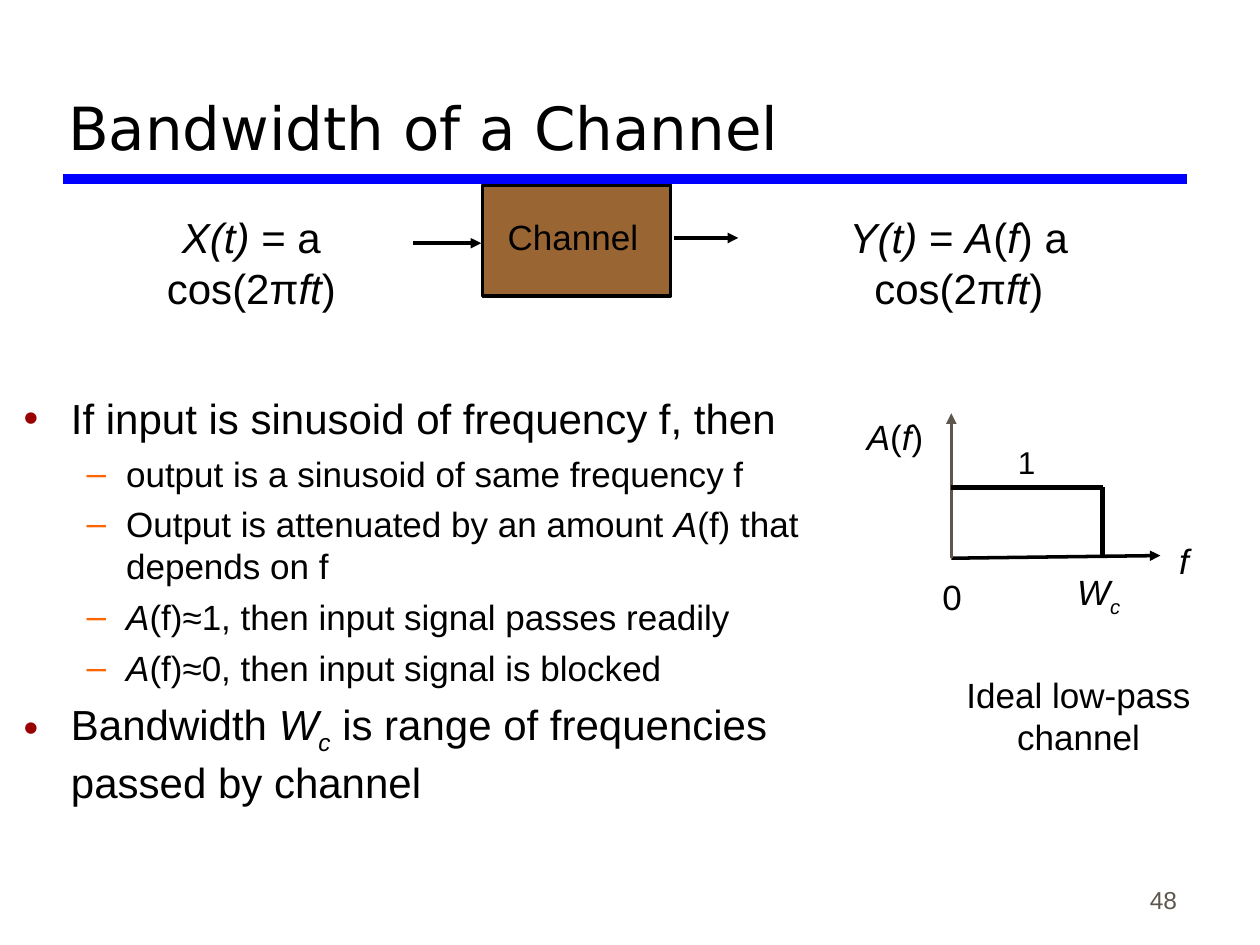
from lxml import etree
from pptx import Presentation
from pptx.dml.color import RGBColor
from pptx.enum import shapes, text
from pptx.oxml.ns import qn
from pptx.util import Pt

BLACK = RGBColor(0, 0, 0)
BLUE = RGBColor(0x00, 0x00, 0xFF)
BROWN = RGBColor(0x99, 0x66, 0x33)
GREY = RGBColor(0x5E, 0x57, 0x4E)
WHITE = RGBColor(255, 255, 255)
LEFT, CENTER, RIGHT = text.PP_ALIGN.LEFT, text.PP_ALIGN.CENTER, text.PP_ALIGN.RIGHT

# Runs are (text, style): "" plain, "i" italic, "s" italic subscript.
TITLE = "Bandwidth of a Channel"
BULLETS = [
    (0, [("If input is sinusoid of frequency f, then", "")]),
    (1, [("output is a sinusoid of same frequency f", "")]),
    (1, [("Output is attenuated by an amount ", ""), ("A", "i"),
         ("(f) that depends on f", "")]),
    (1, [("A", "i"), ("(f)≈1, then input signal passes readily", "")]),
    (1, [("A", "i"), ("(f)≈0, then input signal is blocked", "")]),
    (0, [("Bandwidth ", ""), ("W", "i"), ("c", "s"),
         (" is range of frequencies passed by channel", "")]),
]
# Per level: size, left margin, hanging indent, space before, bullet, colour
LEVELS = [(24, 27, 27, 6, "•", "990000"), (20, 58.5, 22.5, 5, "–", "FF6600")]

COSINE = [("cos(2π", ""), ("ft", "i"), (")", "")]
INPUT = [("X(t)", "i"), (" = a ", "")] + COSINE
OUTPUT = [("Y(t)", "i"), (" = ", ""), ("A", "i"), ("(", ""), ("f", "i"), (") a ", "")] + COSINE

# Runs, (left, top, width, height), size, alignment, wrapped
LABELS = [
    ([("Channel", "")], (283, 119.5, 89.3, 31), 20, LEFT, False),
    (INPUT, (46.8, 117.4, 193.7, 36), 24, CENTER, True),
    (OUTPUT, (428.4, 117.4, 239, 36), 24, CENTER, True),
    ([("W", "i"), ("c", "s")], (608.4, 322.6, 38.9, 34.6), 20, LEFT, False),
    ([("0", "")], (531.4, 325.4, 25.2, 31), 20, LEFT, False),
    ([("f", "i")], (666.7, 304.6, 25.2, 31), 20, LEFT, True),
    ([("A", "i"), ("(", ""), ("f", "i"), (")", "")], (488.2, 234, 46.8, 31), 20, LEFT, False),
    ([("1", "")], (574.6, 249.8, 40.3, 28.8), 18, LEFT, True),
    ([("Ideal low-pass channel", "")], (541.4, 381.6, 149.8, 55.4), 20, CENTER, True),
]

CHANNEL_BOX = (275.8, 105.8, 107.3, 63.4)
ORIGIN_X, AXIS_Y = 543.6, 319
CUTOFF_X, GAIN_Y = 630, 278.4
# Start, end, colour, width, arrowhead
LINES = [
    ((36, 102.2), (678.2, 102.2), BLUE, 6, False),
    ((236.2, 139), (275, 139), BLACK, 2, True),
    ((385.2, 136), (421.9, 136), BLACK, 2, True),
    ((ORIGIN_X, AXIS_Y), (663.1, 317.5), BLACK, 2, True),
    ((CUTOFF_X, AXIS_Y - 1), (CUTOFF_X, GAIN_Y), BLACK, 3, False),
    ((ORIGIN_X, AXIS_Y), (ORIGIN_X, 236.2), GREY, 2, True),
    ((CUTOFF_X, GAIN_Y), (ORIGIN_X, GAIN_Y), BLACK, 3, False),
]


def points(values):
    return [Pt(value) for value in values]


def add_runs(paragraph, runs, size, color=BLACK, font="Arial"):
    for wording, style in runs:
        run = paragraph.add_run()
        run.text = wording
        run.font.name = font
        run.font.size = Pt(size)
        run.font.color.rgb = color
        run.font.italic = style != ""
        if style == "s":
            run._r.get_or_add_rPr().set("baseline", "-25000")


def add_label(slide, runs, place, size, align, wrapped, color=BLACK):
    frame = slide.shapes.add_textbox(*points(place)).text_frame
    frame.word_wrap = wrapped
    frame.paragraphs[0].alignment = align
    add_runs(frame.paragraphs[0], runs, size, color)
    return frame


def add_line(slide, start, end, color, width, arrow):
    line = slide.shapes.add_connector(shapes.MSO_CONNECTOR.STRAIGHT, *points(start + end))
    line.line.color.rgb = color
    line.line.width = Pt(width)
    if arrow:
        etree.SubElement(line.line._get_or_add_ln(), qn("a:tailEnd"), type="triangle")
    etree.SubElement(line._element.spPr, qn("a:effectLst"))


def add_bullets(slide):
    frame = slide.shapes.add_textbox(*points((6.5, 221, 465.8, 303.8))).text_frame
    frame.word_wrap = True
    for index, (level, runs) in enumerate(BULLETS):
        size, margin, hanging, space, mark, color = LEVELS[level]
        paragraph = frame.add_paragraph() if index else frame.paragraphs[0]
        paragraph.level = level
        paragraph.space_before = Pt(space)
        props = paragraph._p.get_or_add_pPr()
        props.set("marL", str(Pt(margin)))
        props.set("indent", str(-Pt(hanging)))
        bullet_color = etree.SubElement(props, qn("a:buClr"))
        etree.SubElement(bullet_color, qn("a:srgbClr"), val=color)
        etree.SubElement(props, qn("a:buFont"), typeface="Arial")
        etree.SubElement(props, qn("a:buChar"), char=mark)
        add_runs(paragraph, runs, size)


def main():
    deck = Presentation()
    deck.slide_width, deck.slide_height = Pt(720), Pt(540)
    slide = deck.slides.add_slide(deck.slide_layouts[5])
    slide.background.fill.solid()
    slide.background.fill.fore_color.rgb = WHITE

    title = slide.shapes.title
    title.left, title.top, title.width, title.height = points((31.7, 12.2, 645.8, 84.2))
    frame = title.text_frame
    frame.auto_size = text.MSO_AUTO_SIZE.NONE
    frame.vertical_anchor = text.MSO_ANCHOR.BOTTOM
    frame.paragraphs[0].alignment = LEFT
    add_runs(frame.paragraphs[0], [(TITLE, "")], 34, font="DejaVu Sans")

    add_bullets(slide)

    channel = slide.shapes.add_shape(shapes.MSO_SHAPE.RECTANGLE, *points(CHANNEL_BOX))
    channel.shadow.inherit = False
    channel.fill.solid()
    channel.fill.fore_color.rgb = BROWN
    channel.line.color.rgb = BLACK
    channel.line.width = Pt(2)

    for line in LINES:
        add_line(slide, *line)
    for label in LABELS:
        add_label(slide, *label)
    number = add_label(slide, [("48", "")], (529.9, 490.3, 149.8, 36), 14, RIGHT, True, GREY)
    number.vertical_anchor = text.MSO_ANCHOR.BOTTOM

    deck.save("out.pptx")


if __name__ == "__main__":
    main()
